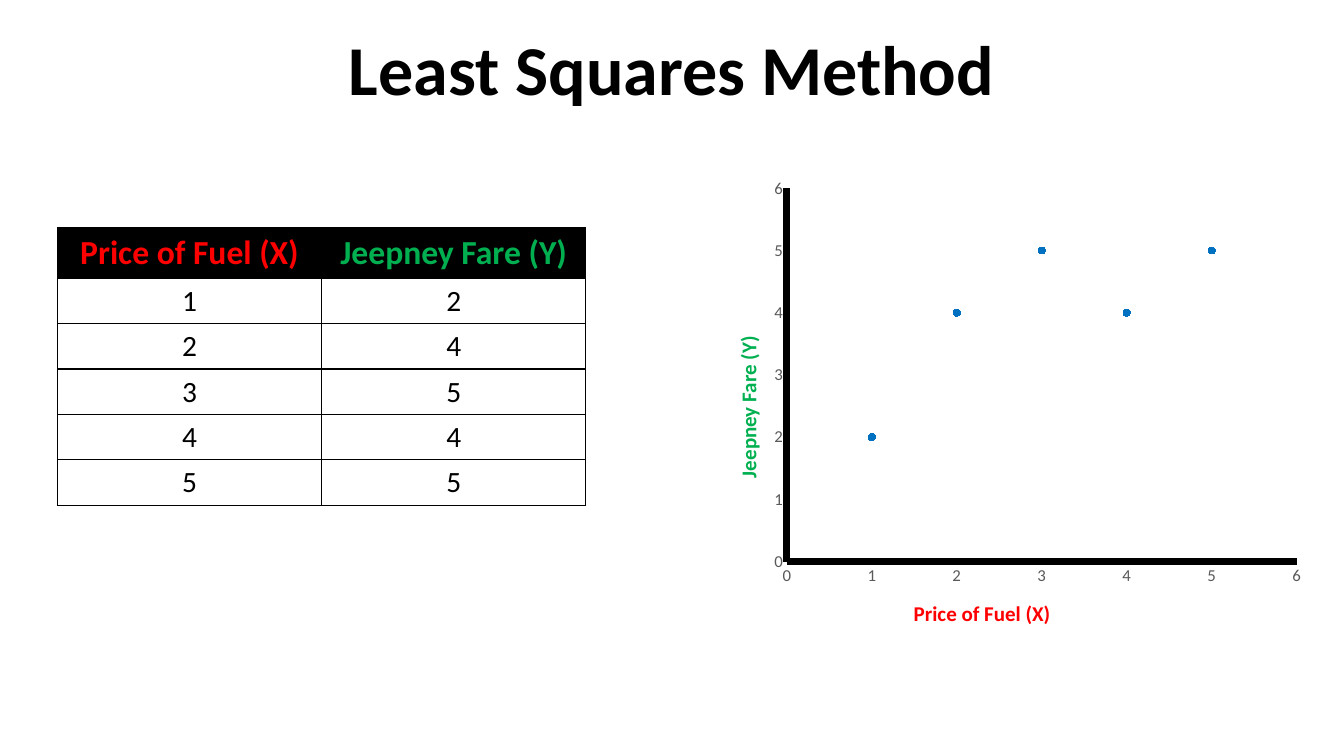
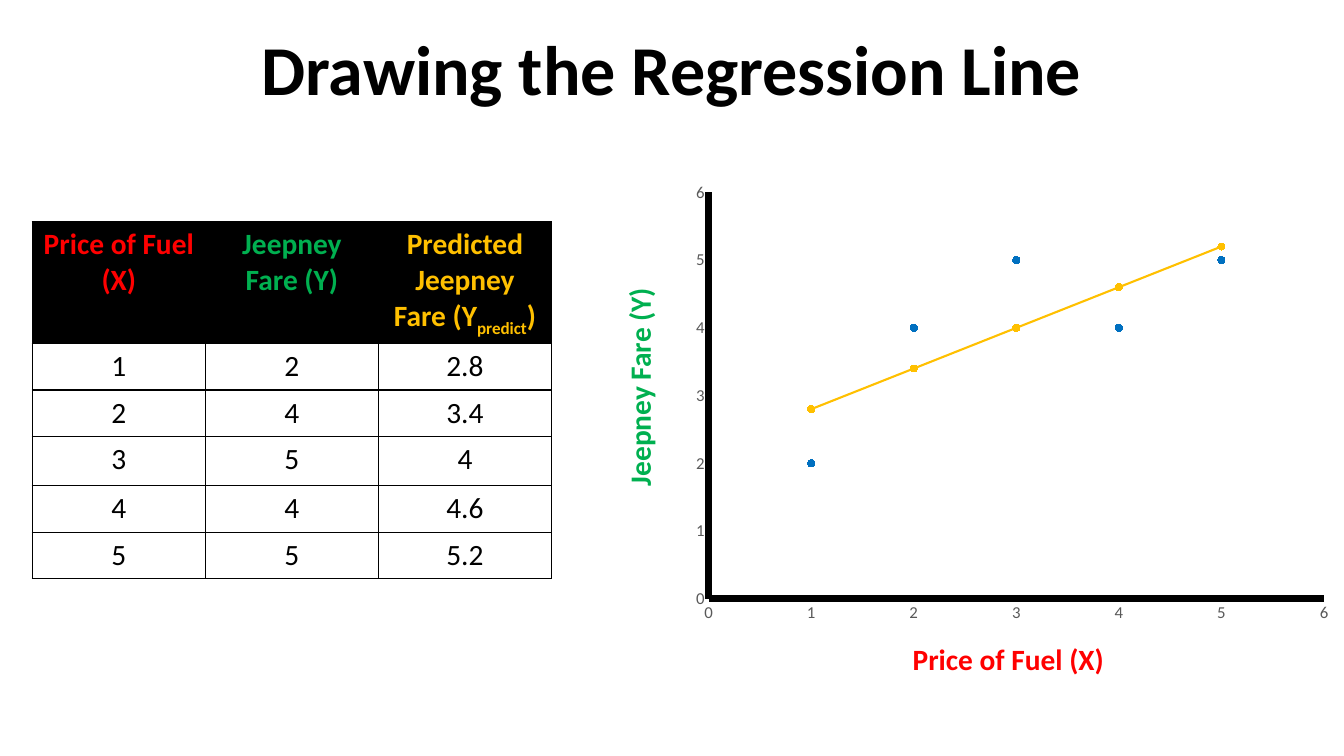
from dataclasses import dataclass

from lxml.etree import SubElement
from pptx import Presentation
from pptx.chart.data import XyChartData
from pptx.dml.color import RGBColor as Rgb
from pptx.enum.chart import XL_CHART_TYPE as ChartType
from pptx.enum.chart import XL_MARKER_STYLE as Marker
from pptx.enum.chart import XL_TICK_MARK as TickMark
from pptx.enum.text import MSO_ANCHOR as Anchor
from pptx.enum.text import PP_ALIGN as Align
from pptx.oxml.ns import qn
from pptx.util import Inches, Pt


@dataclass(frozen=True)
class Theme:
    font: str = "Calibri"
    ink: str = "000000"
    fuel: str = "FF0000"
    fare: str = "00B050"
    predicted: str = "FFC000"
    observed: str = "0070C0"
    tick: str = "595959"
    title_size: int = 50
    body_size: int = 21
    tick_size: int = 12
    marker_size: int = 5
    axis_width: int = 5
    line_width: float = 1.5
    border_width: int = 1


THEME = Theme()
FUEL_LABEL = "Price of Fuel (X)"
FARE_LABEL = "Jeepney Fare (Y)"
FUEL = [1, 2, 3, 4, 5]
FARE = [2, 4, 5, 4, 5]
PREDICTED = [2.8, 3.4, 4, 4.6, 5.2]
PLOT_LAYOUT = {"x": 0.04, "y": 0.018, "w": 0.945, "h": 0.9}


def inches(box):
    return [Inches(length) for length in box]


def style_font(font, size, color, bold=False):
    font.name = THEME.font
    font.size = Pt(size)
    font.bold = bold
    font.color.rgb = Rgb.from_string(color)


def add_title(page, text):
    frame = page.shapes.add_textbox(*inches((0.5, 0.36, 12.33, 0.79))).text_frame
    frame.text = text
    frame.word_wrap = True
    frame.vertical_anchor = Anchor.BOTTOM
    para = frame.paragraphs[0]
    para.alignment = Align.CENTER
    para.line_spacing = 0.9
    style_font(para.runs[0].font, THEME.title_size, THEME.ink, True)


def add_axis_label(page, text, center, width, size, color, rotation=0):
    height = size / 60 + 0.1
    left, top = center[0] - width / 2, center[1] - height / 2
    label = page.shapes.add_textbox(*inches((left, top, width, height)))
    label.rotation = rotation
    frame = label.text_frame
    frame.text = text
    frame.word_wrap = False
    para = frame.paragraphs[0]
    para.alignment = Align.CENTER
    style_font(para.runs[0].font, size, color, True)


def draw_borders(cell):
    properties = cell._tc.get_or_add_tcPr()
    for side in ("lnL", "lnR", "lnT", "lnB"):
        line = SubElement(properties, qn(f"a:{side}"), w=str(Pt(THEME.border_width)))
        fill = SubElement(line, qn("a:solidFill"))
        SubElement(fill, qn("a:srgbClr"), val=THEME.ink)


def fill_cell(cell, parts, size, color, is_header):
    draw_borders(cell)
    if is_header:
        cell.fill.solid()
        cell.fill.fore_color.rgb = Rgb.from_string(THEME.ink)
    else:
        cell.fill.background()
    para = cell.text_frame.paragraphs[0]
    para.alignment = Align.CENTER
    for text, baseline in parts:
        span = para.add_run()
        span.text = text
        style_font(span.font, size, color, is_header)
        if baseline:
            span._r.get_or_add_rPr().set("baseline", str(baseline * 1000))


def add_data_table(page, box, columns, row_heights, header_size):
    frame = page.shapes.add_table(len(row_heights), len(columns), *inches(box))
    table = frame.table
    table.first_row = False
    table.horz_banding = False
    for row, height in zip(table.rows, row_heights):
        row.height = Inches(height)
    for index, (header, color, values) in enumerate(columns):
        table.columns[index].width = Inches(box[2] / len(columns))
        fill_cell(table.cell(0, index), header, header_size, color, True)
        for row_index, value in enumerate(values, 1):
            cell = table.cell(row_index, index)
            fill_cell(cell, [(str(value), 0)], THEME.body_size, THEME.ink, False)


def style_axis(axis):
    axis.minimum_scale, axis.maximum_scale, axis.major_unit = 0, 6, 1
    axis.has_major_gridlines = False
    axis.has_title = False
    axis.major_tick_mark = axis.minor_tick_mark = TickMark.NONE
    axis.format.line.width = Pt(THEME.axis_width)
    axis.format.line.color.rgb = Rgb.from_string(THEME.ink)
    style_font(axis.tick_labels.font, THEME.tick_size, THEME.tick)


def fix_plot_layout(chart):
    plot_area = chart._chartSpace.chart.plotArea
    for old_layout in plot_area.findall(qn("c:layout")):
        plot_area.remove(old_layout)
    layout = SubElement(plot_area, qn("c:layout"))
    plot_area.insert(0, layout)
    manual = SubElement(layout, qn("c:manualLayout"))
    settings = {"layoutTarget": "inner", "xMode": "edge", "yMode": "edge", **PLOT_LAYOUT}
    for name, value in settings.items():
        SubElement(manual, qn(f"c:{name}"), val=str(value))


def add_scatter(page, box, series_rules):
    data = XyChartData()
    for index, (values, _, _) in enumerate(series_rules, 1):
        series = data.add_series(f"Series {index}")
        for point in zip(FUEL, values):
            series.add_data_point(*point)
    frame = page.shapes.add_chart(ChartType.XY_SCATTER, *inches(box), data)
    chart = frame.chart
    chart.has_title = False
    chart.has_legend = False
    chart.font.name = THEME.font
    chart.plots[0].vary_by_categories = False
    fix_plot_layout(chart)
    style_axis(chart.category_axis)
    style_axis(chart.value_axis)
    for series, (_, color, joined) in zip(chart.plots[0].series, series_rules):
        series.smooth = False
        series.marker.style = Marker.CIRCLE
        series.marker.size = THEME.marker_size
        paint = Rgb.from_string(color)
        series.marker.format.fill.solid()
        series.marker.format.fill.fore_color.rgb = paint
        series.marker.format.line.color.rgb = paint
        if joined:
            series.format.line.width = Pt(THEME.line_width)
            series.format.line.color.rgb = paint
        else:
            series.format.line.fill.background()


OBSERVED_COLUMNS = [
    ([(FUEL_LABEL, 0)], THEME.fuel, FUEL),
    ([(FARE_LABEL, 0)], THEME.fare, FARE),
]
PREDICTED_COLUMN = (
    [("Predicted Jeepney Fare (Y", 0), ("predict", -25), (")", 0)],
    THEME.predicted,
    PREDICTED,
)
OBSERVED_SERIES = (FARE, THEME.observed, False)
PREDICTED_SERIES = (PREDICTED, THEME.predicted, True)


def add_method_page(page):
    add_title(page, "Least Squares Method")
    add_data_table(page, (0.57, 2.26, 5.24, 2.75), OBSERVED_COLUMNS,
                   [0.5] + [0.45] * 5, 24)
    add_scatter(page, (7.59, 1.77, 5.35, 4.14), [OBSERVED_SERIES])
    add_axis_label(page, FUEL_LABEL, (9.74, 6.08), 1.57, 15, THEME.fuel)
    add_axis_label(page, FARE_LABEL, (7.42, 4.04), 1.62, 15, THEME.fare, 270)


def add_regression_page(page):
    add_title(page, "Drawing the Regression Line")
    add_data_table(page, (0.32, 2.2, 5.15, 3.54), OBSERVED_COLUMNS + [PREDICTED_COLUMN],
                   [1.21, 0.46, 0.46, 0.49, 0.46, 0.46], THEME.body_size)
    add_scatter(page, (6.77, 1.81, 6.46, 4.5), [OBSERVED_SERIES, PREDICTED_SERIES])
    add_axis_label(page, FUEL_LABEL, (10, 6.54), 2.12, 21, THEME.fuel)
    add_axis_label(page, FARE_LABEL, (6.34, 3.84), 2.19, 21, THEME.fare, 270)


def main():
    deck = Presentation()
    deck.slide_width, deck.slide_height = Inches(13.33), Inches(7.5)
    for build in (add_method_page, add_regression_page):
        build(deck.slides.add_slide(deck.slide_layouts[6]))
    deck.save("out.pptx")


if __name__ == "__main__":
    main()
